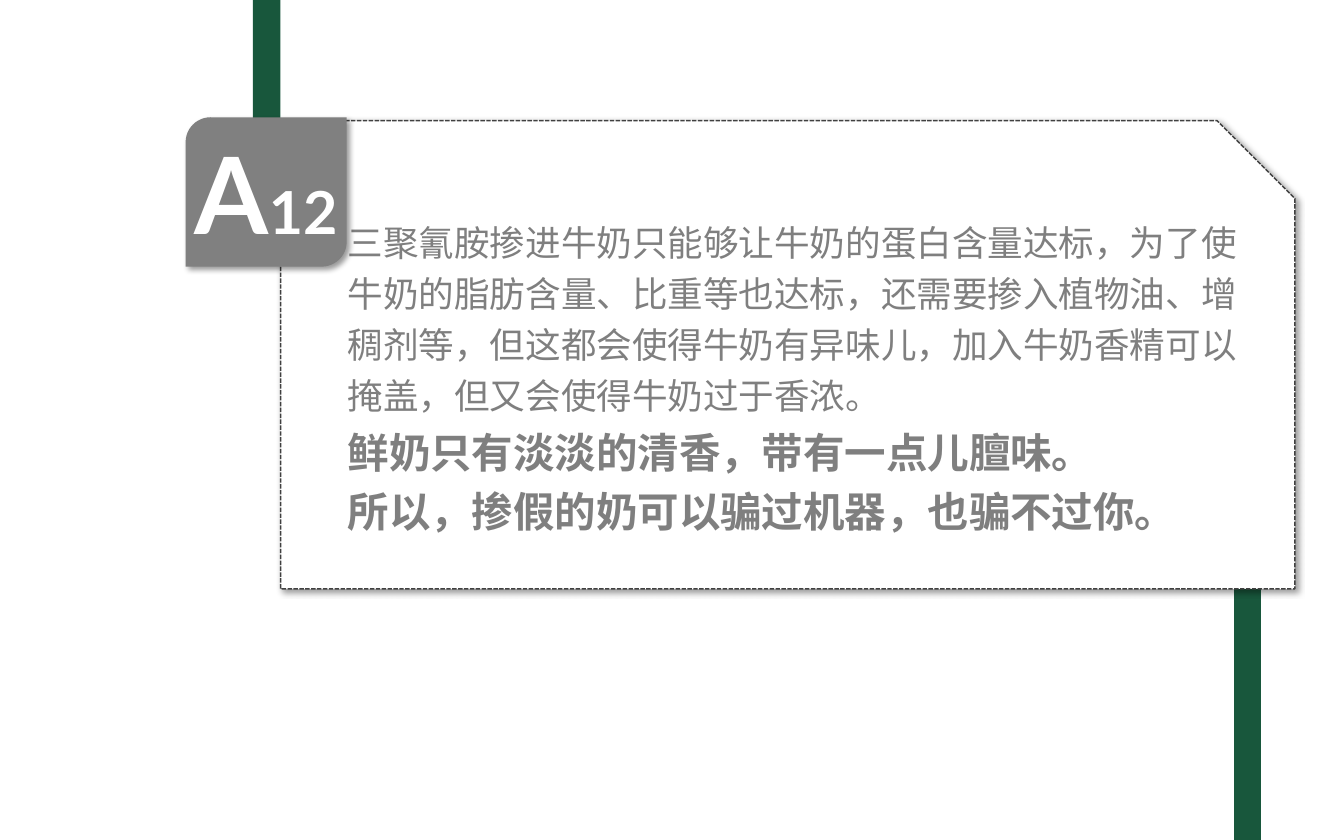
"""Build a slide with an answer card, its numbered badge and two green bars."""
from lxml.etree import SubElement
from pptx import Presentation
from pptx.dml.color import RGBColor
from pptx.enum.dml import MSO_LINE
from pptx.enum.shapes import MSO_SHAPE
from pptx.enum.text import MSO_ANCHOR, PP_ALIGN
from pptx.oxml.ns import qn
from pptx.util import Inches, Pt

COLORS = {
    "green": "18573C",
    "white": "FFFFFF",
    "outline": "404040",
    "text": "7F7F7F",
    "badge": "808080",
    "shadow": "000000",
}
BODY_FONT = "Noto Sans CJK SC"
BADGE_FONT = "Lato"
SLIDE_WIDTH = 12.6
SLIDE_HEIGHT = SLIDE_WIDTH * 10 / 16

LOWER_BAR = [
    (11.82, 3.19), (11.82, SLIDE_HEIGHT), (11.57, SLIDE_HEIGHT), (11.57, 3.2), (11.67, 3.21),
]
ANSWER = [
    ("三聚氰胺掺进牛奶只能够让牛奶的蛋白含量达标，为了使牛奶的脂肪含量、比重等也达标，"
     "还需要掺入植物油、增稠剂等，但这都会使得牛奶有异味儿，加入牛奶香精可以掩盖，"
     "但又会使得牛奶过于香浓。", 24, False),
    ("鲜奶只有淡淡的清香，带有一点儿膻味。", 28, True),
    ("所以，掺假的奶可以骗过机器，也骗不过你。", 28, True),
]
BADGE = [("A", 72), ("12", 40)]


def color(name):
    return RGBColor.from_string(COLORS[name])


def paint(shape, fill):
    shape.shadow.inherit = False
    shape.fill.solid()
    shape.fill.fore_color.rgb = color(fill)
    shape.line.fill.background()


def add_filled(page, kind, left, top, width, height, fill):
    shape = page.shapes.add_shape(
        kind, Inches(left), Inches(top), Inches(width), Inches(height))
    paint(shape, fill)
    return shape


def add_outline(page, points, fill):
    start, *others = [(Inches(x), Inches(y)) for x, y in points]
    builder = page.shapes.build_freeform(*start)
    builder.add_line_segments(others, close=True)
    paint(builder.convert_to_shape(), fill)


def add_shadow(shape):
    effects = shape._element.spPr.find(qn("a:effectLst"))
    shadow = SubElement(
        effects, qn("a:outerShdw"), blurRad=str(Pt(4)), dist=str(Pt(3)),
        dir=str(45 * 60000), algn="tl", rotWithShape="0")
    tint = SubElement(shadow, qn("a:srgbClr"), val=COLORS["shadow"])
    SubElement(tint, qn("a:alpha"), val="40000")


def prepare_frame(shape, left_inset=0):
    frame = shape.text_frame
    frame.word_wrap = True
    frame.vertical_anchor = MSO_ANCHOR.MIDDLE
    frame.margin_left = Inches(left_inset)
    frame.margin_top = frame.margin_right = frame.margin_bottom = 0
    return frame


def style_paragraph(para, font_name, ink, bold, align):
    para.alignment = align
    para.font.name = font_name
    para.font.bold = bold
    para.font.color.rgb = color(ink)
    SubElement(para._p.pPr.find(qn("a:defRPr")), qn("a:ea"), typeface=font_name)


def add_card(page):
    card = add_filled(page, MSO_SHAPE.SNIP_1_RECTANGLE, 2.63, 1.13, 9.51, 4.39, "white")
    card.line.color.rgb = color("outline")
    card.line.width = Pt(1)
    card.line.dash_style = MSO_LINE.SQUARE_DOT
    add_shadow(card)
    frame = prepare_frame(card, 0.63)
    for index, (text, size, bold) in enumerate(ANSWER):
        para = frame.add_paragraph() if index else frame.paragraphs[0]
        para.text = text
        para.line_spacing = 1.2
        style_paragraph(para, BODY_FONT, "text", bold, PP_ALIGN.LEFT)
        para.font.size = Pt(size)


def add_badge(page):
    badge = add_filled(
        page, MSO_SHAPE.ROUND_2_DIAG_RECTANGLE, 1.74, 1.1, 1.51, 1.4, "badge")
    add_shadow(badge)
    para = prepare_frame(badge).paragraphs[0]
    style_paragraph(para, BADGE_FONT, "white", True, PP_ALIGN.CENTER)
    for text, size in BADGE:
        span = para.add_run()
        span.text = text
        span.font.size = Pt(size)


def main():
    deck = Presentation()
    deck.slide_width, deck.slide_height = Inches(SLIDE_WIDTH), Inches(SLIDE_HEIGHT)
    page = deck.slides.add_slide(deck.slide_layouts[6])
    add_outline(page, LOWER_BAR, "green")
    add_filled(page, MSO_SHAPE.RECTANGLE, 2.37, 0, 0.26, 2.09, "green")
    add_card(page)
    add_badge(page)
    deck.save("out.pptx")


if __name__ == "__main__":
    main()
